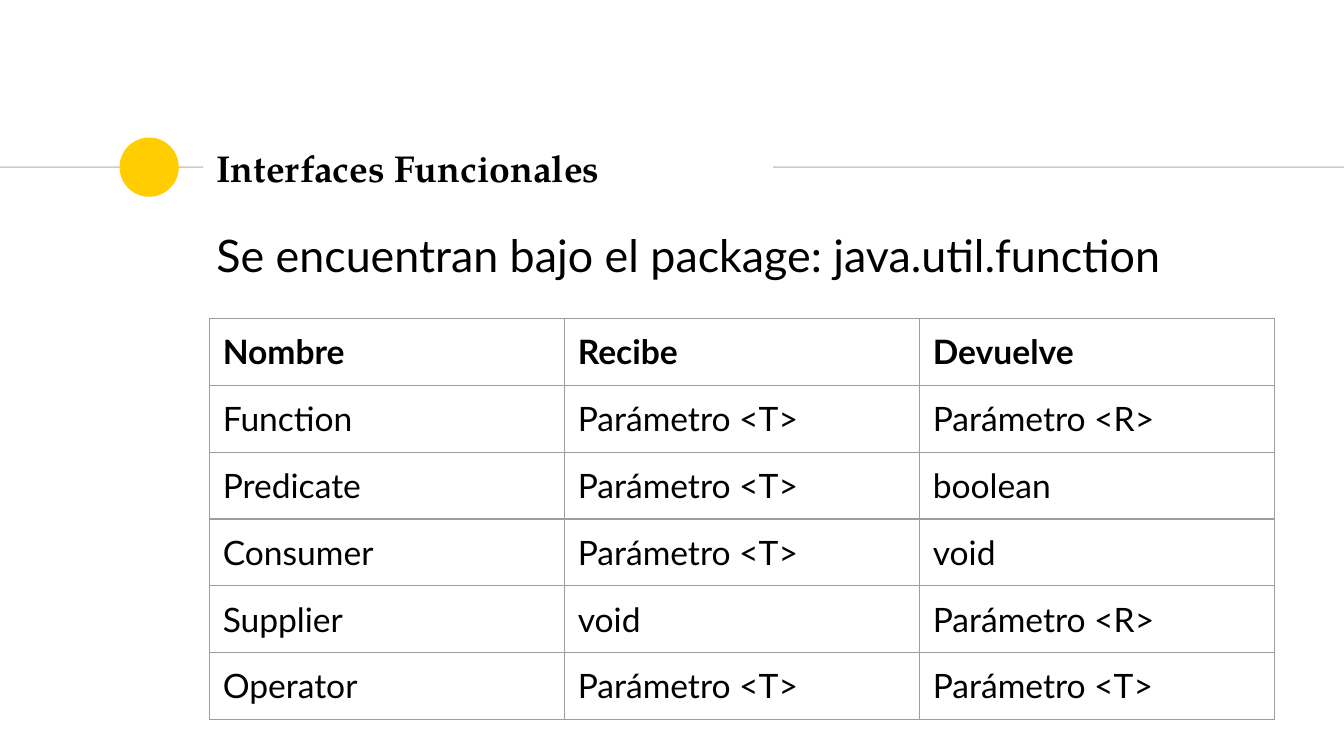
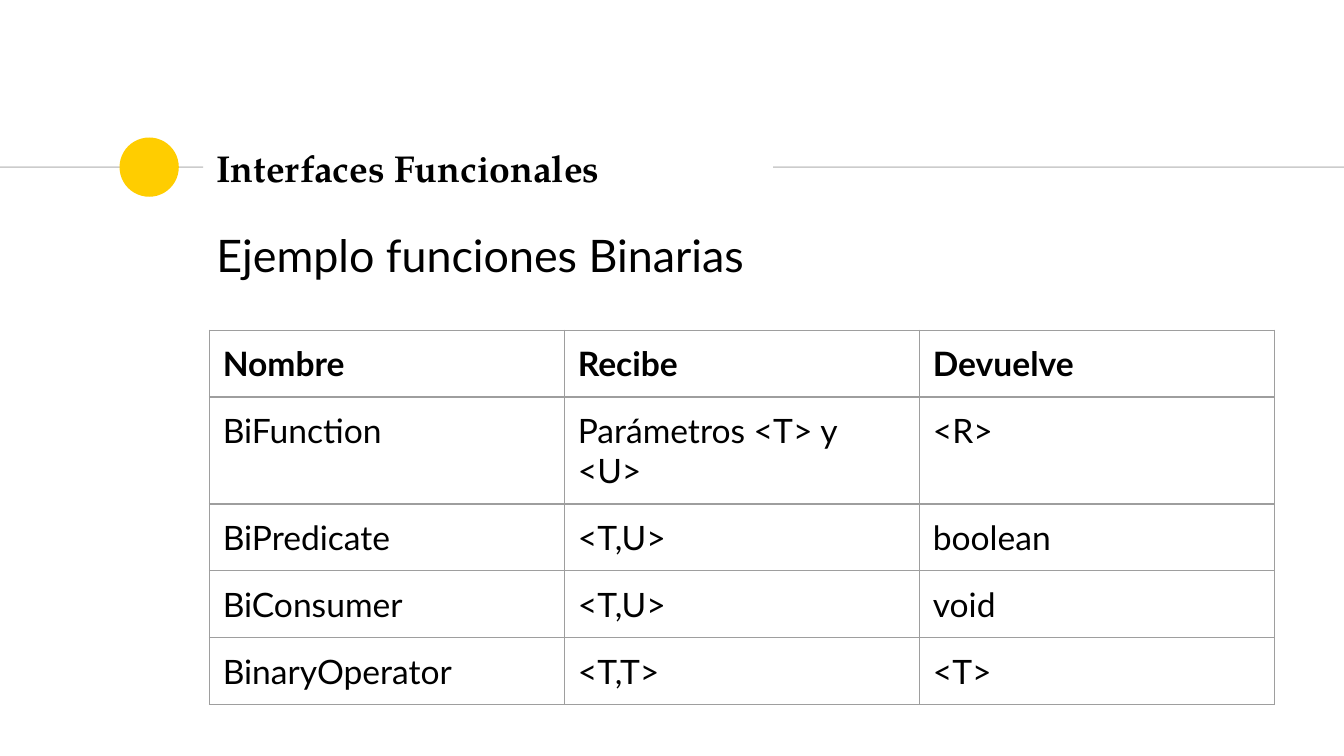
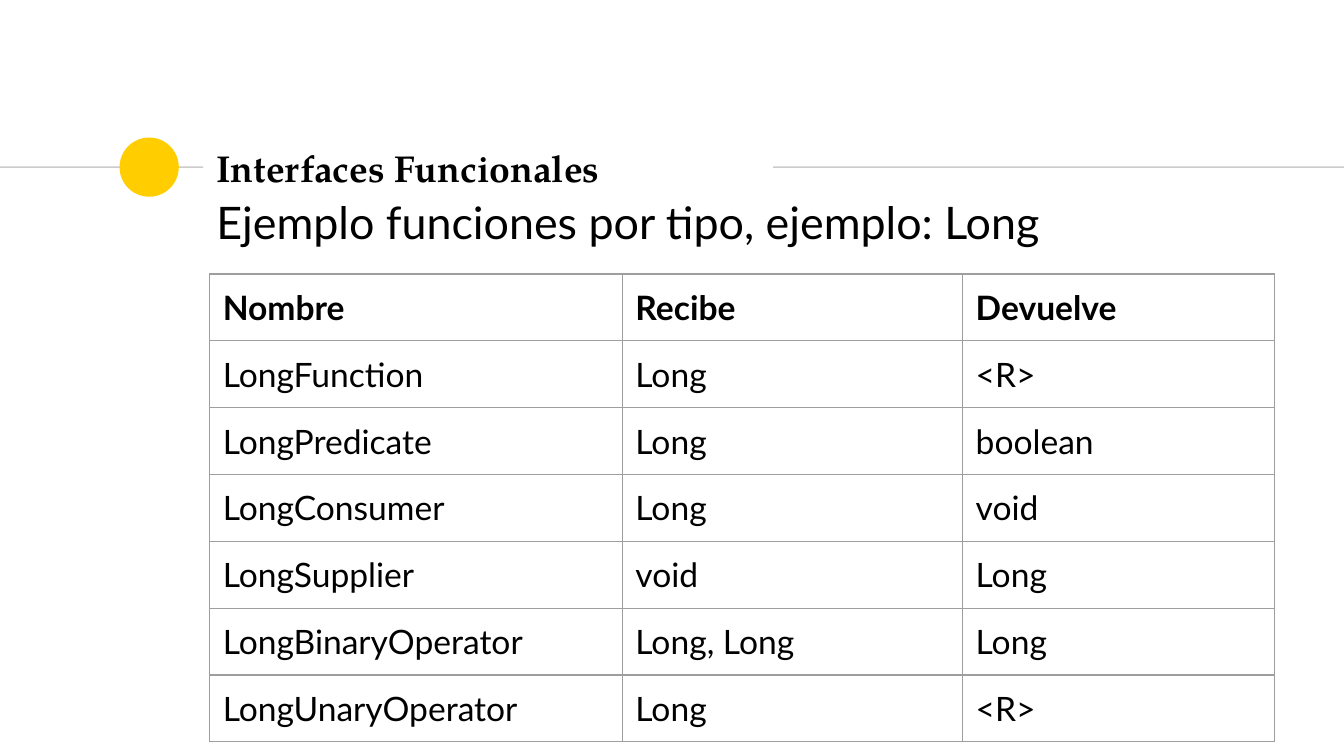
from dataclasses import dataclass

from lxml.etree import SubElement
from pptx import Presentation
from pptx.dml.color import RGBColor
from pptx.enum.shapes import MSO_CONNECTOR as Connector, MSO_SHAPE as Shape
from pptx.enum.text import MSO_ANCHOR as Anchor, MSO_AUTO_SIZE as AutoSize, PP_ALIGN as Align
from pptx.oxml.ns import qn
from pptx.util import Cm, Pt


@dataclass(frozen=True)
class Theme:
    """Colours, fonts, type sizes and line widths of the deck."""
    paper: str = "FFFFFF"
    ink: str = "000000"
    accent: str = "FFCD00"
    rule: str = "CCCCCC"
    grid: str = "9E9E9E"
    title_font: str = "TeX Gyre Pagella"
    text_font: str = "Lato"
    title_size: int = 20
    body_size: int = 24
    cell_size: int = 18
    line_width: float = 0.75
    inset: float = 0.25


@dataclass(frozen=True)
class Box:
    """A rectangle measured in centimetres."""
    left: float
    top: float
    width: float
    height: float

    @property
    def middle(self):
        """Return the height of the horizontal centre line."""
        return self.top + self.height / 2

    @property
    def lengths(self):
        """Return left, top, width and height as slide lengths."""
        return [Cm(value) for value in (self.left, self.top, self.width, self.height)]


THEME = Theme()
PAGE = Box(0, 0, 25.4, 14.29)
TITLE = Box(3.84, 2.55, 10.77, 1.22)
DOT_SIZE = 1.12
DOT_GAP = 0.46
ROW_HEIGHT = 1.07
HEADINGS = ("Nombre", "Recibe", "Devuelve")
INSETS = {f"margin_{side}": Cm(THEME.inset) for side in ("left", "right", "top", "bottom")}
TITLE_TYPE = {"name": THEME.title_font, "size": Pt(THEME.title_size), "bold": True}
BODY_TYPE = {"name": THEME.text_font, "size": Pt(THEME.body_size), "bold": False}
CELL_TYPE = {"name": THEME.text_font, "size": Pt(THEME.cell_size), "bold": False}
HEADING_TYPE = {**CELL_TYPE, "bold": True}

SLIDES = [
    {
        "lead": "Se encuentran bajo el package: java.util.function",
        "lead_box": Box(3.84, 4.06, 20.9, 1.96),
        "table_top": 6.02,
        "columns": (6.71, 6.71, 6.71),
        "rows": [
            ("Function", "Parámetro <T>", "Parámetro <R>"),
            ("Predicate", "Parámetro <T>", "boolean"),
            ("Consumer", "Parámetro <T>", "void"),
            ("Supplier", "void", "Parámetro <R>"),
            ("Operator", "Parámetro <T>", "Parámetro <T>"),
        ],
    },
    {
        "lead": "Ejemplo funciones Binarias",
        "lead_box": Box(3.84, 4.06, 20.9, 1.96),
        "table_top": 6.24,
        "columns": (6.71, 6.71, 6.71),
        "rows": [
            ("BiFunction", "Parámetros <T> y <U>", "<R>"),
            ("BiPredicate", "<T,U>", "boolean"),
            ("BiConsumer", "<T,U>", "void"),
            ("BinaryOperator", "<T,T>", "<T>"),
        ],
    },
    {
        "lead": "Ejemplo funciones por tipo, ejemplo: Long",
        "lead_box": Box(3.84, 3.43, 20.9, 1.96),
        "table_top": 5.18,
        "columns": (7.8, 6.43, 5.89),
        "rows": [
            ("LongFunction", "Long", "<R>"),
            ("LongPredicate", "Long", "boolean"),
            ("LongConsumer", "Long", "void"),
            ("LongSupplier", "void", "Long"),
            ("LongBinaryOperator", "Long, Long", "Long"),
            ("LongUnaryOperator", "Long", "<R>"),
        ],
    },
]


def apply(target, values):
    """Set every attribute named in a dict of format values."""
    for name, value in values.items():
        setattr(target, name, value)


def colour(code):
    """Return a colour from its hexadecimal code."""
    return RGBColor.from_string(code)


def write(para, text, type_values):
    """Write one left-aligned span of formatted text."""
    para.alignment = Align.LEFT
    span = para.add_run()
    span.text = text
    apply(span.font, type_values)
    span.font.color.rgb = colour(THEME.ink)


def fill_placeholder(holder, box, text, type_values, anchor):
    """Place a placeholder, fill it and return its paragraph."""
    apply(holder, dict(zip(("left", "top", "width", "height"), box.lengths)))
    frame = holder.text_frame
    apply(frame, {**INSETS, "word_wrap": True, "auto_size": AutoSize.NONE,
                  "vertical_anchor": anchor})
    para = frame.paragraphs[0]
    write(para, text, type_values)
    return para


def add_lead(page, box, text):
    """Fill the body placeholder with an unbulleted sentence."""
    para = fill_placeholder(page.placeholders[1], box, text, BODY_TYPE, Anchor.TOP)
    para.space_before = Pt(6)
    properties = para._p.get_or_add_pPr()
    for name in ("marL", "indent"):
        properties.set(name, "0")
    SubElement(properties, qn("a:buNone"))


def add_rule(page, start, end, height):
    """Draw a thin horizontal line and return it."""
    rule = page.shapes.add_connector(
        Connector.STRAIGHT, Cm(start), Cm(height), Cm(end), Cm(height))
    rule.line.color.rgb = colour(THEME.rule)
    rule.line.width = Pt(THEME.line_width)
    SubElement(rule._element.spPr, qn("a:effectLst"))
    return rule


def add_title_band(page, box):
    """Set the title between two lines, with a dot at its left."""
    title = page.shapes.title
    fill_placeholder(title, box, "Interfaces Funcionales", TITLE_TYPE, Anchor.MIDDLE)
    right = box.left + box.width
    add_rule(page, PAGE.left, box.left, box.middle).end_connect(title, 1)
    add_rule(page, right, PAGE.width, box.middle).begin_connect(title, 3)
    dot_box = Box(box.left - DOT_GAP - DOT_SIZE, box.middle - DOT_SIZE / 2, DOT_SIZE, DOT_SIZE)
    dot = page.shapes.add_shape(Shape.OVAL, *dot_box.lengths)
    dot.shadow.inherit = False
    dot.fill.solid()
    dot.fill.fore_color.rgb = colour(THEME.accent)
    dot.line.fill.background()


def add_borders(cell):
    """Draw the four borders of a table cell."""
    properties = cell._tc.get_or_add_tcPr()
    for side in ("lnL", "lnR", "lnT", "lnB"):
        border = SubElement(properties, qn(f"a:{side}"), w=str(Pt(THEME.line_width)))
        SubElement(SubElement(border, qn("a:solidFill")), qn("a:srgbClr"), val=THEME.grid)


def add_grid(page, box, columns, rows):
    """Add a bordered table whose first row holds the headings."""
    table = page.shapes.add_table(len(rows), len(columns), *box.lengths).table
    apply(table, {"first_row": False, "horz_banding": False})
    for column, width in zip(table.columns, columns):
        column.width = Cm(width)
    for row_number, (row, texts) in enumerate(zip(table.rows, rows)):
        row.height = Cm(ROW_HEIGHT)
        for cell, text in zip(row.cells, texts):
            apply(cell, INSETS)
            write(cell.text_frame.paragraphs[0], text,
                  CELL_TYPE if row_number else HEADING_TYPE)
            add_borders(cell)
            cell.fill.background()


def add_interface_page(deck, lead, lead_box, table_top, columns, rows):
    """Add a slide with the title band, a sentence and a table."""
    page = deck.slides.add_slide(deck.slide_layouts[1])
    page.background.fill.solid()
    page.background.fill.fore_color.rgb = colour(THEME.paper)
    add_title_band(page, TITLE)
    add_lead(page, lead_box, lead)
    all_rows = [HEADINGS, *rows]
    table_box = Box(3.96, table_top, sum(columns), ROW_HEIGHT * len(all_rows))
    add_grid(page, table_box, columns, all_rows)


def main():
    """Build and save the deck."""
    deck = Presentation()
    apply(deck, {"slide_width": Cm(PAGE.width), "slide_height": Cm(PAGE.height)})
    for content in SLIDES:
        add_interface_page(deck, **content)
    deck.save("out.pptx")


if __name__ == "__main__":
    main()
